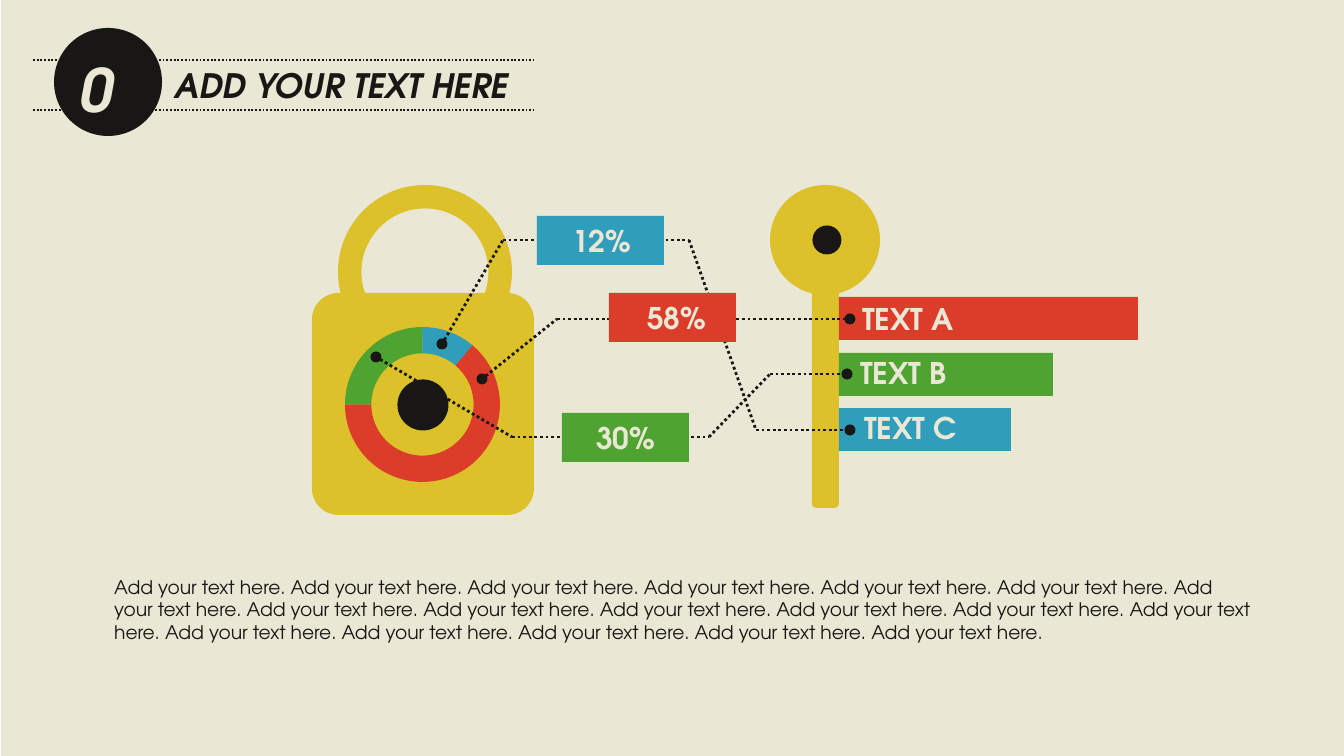
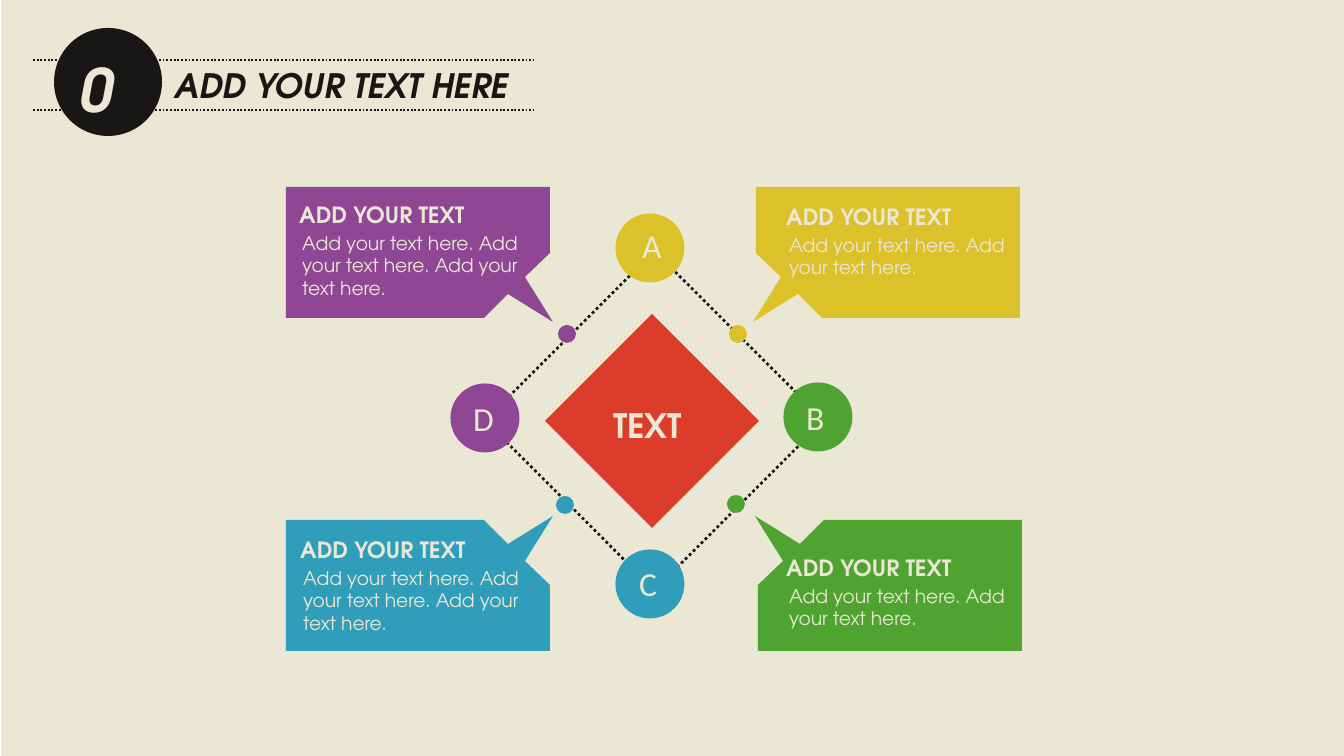
from itertools import pairwise

from lxml import etree
from pptx import Presentation
from pptx import util as u
from pptx.dml.color import RGBColor
from pptx.enum import dml, shapes, text
from pptx.oxml.ns import qn

PX = 914400 / 134.4  # EMU in one px
FONT = "TeX Gyre Adventor"
LETTER_FONT = "Calibri"

CREAM = RGBColor(0xEA, 0xE7, 0xD4)
INK = RGBColor(0x18, 0x17, 0x15)
YELLOW = RGBColor(0xDC, 0xC1, 0x2A)
RED = RGBColor(0xDC, 0x3D, 0x2A)
GREEN = RGBColor(0x4F, 0xA3, 0x31)
BLUE = RGBColor(0x30, 0x9E, 0xBA)
PURPLE = RGBColor(0x8F, 0x46, 0x95)

KIND = shapes.MSO_SHAPE
SENTENCE = "Add your text here."

# Outline of a callout, measured from the corner opposite its pointer
CALLOUT = [(0, 0), (264, 0), (264, 66), (239, 90), (267, 135),
           (222, 107), (198, 131), (0, 131)]


def px(*lengths):
    return [u.Emu(round(length * PX)) for length in lengths]


# ---- Elements ----
def paint(shape, color):
    shape.shadow.inherit = False
    shape.line.fill.background()
    if color is None:
        shape.fill.background()
    else:
        shape.fill.solid()
        shape.fill.fore_color.rgb = color


def dotted(line, width):
    line.color.rgb = INK
    line.width = u.Pt(width)
    line.dash_style = dml.MSO_LINE.ROUND_DOT


def add_block(slide, kind, box, color, adjustments=()):
    block = slide.shapes.add_shape(kind, *px(*box))
    paint(block, color)
    for index, value in enumerate(adjustments):
        block.adjustments[index] = value
    return block


def add_disc(slide, center, diameter, color):
    x, y = center
    add_block(slide, KIND.OVAL,
              (x - diameter / 2, y - diameter / 2, diameter, diameter), color)


def add_label(slide, words, box, size, color=CREAM, font=FONT, wrap=False, **styles):
    frame = slide.shapes.add_textbox(*px(*box)).text_frame
    frame.word_wrap = wrap
    frame.auto_size = text.MSO_AUTO_SIZE.SHAPE_TO_FIT_TEXT
    run = frame.paragraphs[0].add_run()
    run.text = words
    run.font.color.rgb = color
    for name, value in {"size": u.Pt(size), "name": font, **styles}.items():
        setattr(run.font, name, value)


def add_dotted_line(slide, start, end, width, ends=()):
    line = slide.shapes.add_connector(
        shapes.MSO_CONNECTOR.STRAIGHT, *px(*start, *end))
    dotted(line.line, width)
    properties = line._element.spPr
    for end_tag in ends:
        etree.SubElement(properties.find(qn("a:ln")), qn(end_tag), type="oval")
    etree.SubElement(properties, qn("a:effectLst"))


def add_leader(slide, points):
    """Dotted path with a dot at its first and last point."""
    for start, end in pairwise(points):
        ends = []
        if start == points[0]:
            ends.append("a:headEnd")
        if end == points[-1]:
            ends.append("a:tailEnd")
        add_dotted_line(slide, start, end, 1.5, ends)


def add_callout(slide, corner, x_sign, y_sign, color):
    points = [(corner[0] + x_sign * x, corner[1] + y_sign * y) for x, y in CALLOUT]
    outline = slide.shapes.build_freeform(*points[0], scale=PX)
    outline.add_line_segments(points[1:], close=True)
    paint(outline.convert_to_shape(), color)


# ---- Shared by both slides ----
def add_titled_slide(deck):
    slide = deck.slides.add_slide(deck.slide_layouts[6])
    add_block(slide, KIND.RECTANGLE, (1, 0, 1343, 757), CREAM)
    for y in (60, 110):
        add_dotted_line(slide, (33, y), (534, y), 1)
    add_disc(slide, (108, 82), 108, INK)
    add_label(slide, "ADD YOUR TEXT HERE", (161, 58, 362, 54), 18, INK,
              bold=True, italic=True)
    add_label(slide, "01", (66, 46, 93, 86), 32, bold=True, italic=True)
    return slide


# ---- Slide 1: lock and key ----
def build_lock_and_key(deck):
    slide = add_titled_slide(deck)

    # Lock body, shackle, key
    add_block(slide, KIND.ROUNDED_RECTANGLE, (312, 293, 222, 222), YELLOW, [0.12])
    add_block(slide, KIND.DONUT, (338, 185, 174, 174), YELLOW, [0.135])
    add_disc(slide, (825, 240), 110, YELLOW)
    add_block(slide, KIND.ROUNDED_RECTANGLE, (812, 254, 27, 254), YELLOW, [0.17])
    add_disc(slide, (827, 240), 29, INK)
    add_disc(slide, (423, 405), 51, INK)

    # Key teeth
    teeth = [("TEXT A", 297, 299, RED, (849, 294)),
             ("TEXT B", 353, 214, GREEN, (847, 348)),
             ("TEXT C", 408, 172, BLUE, (851, 403))]
    for _, top, width, color, _ in teeth:
        add_block(slide, KIND.RECTANGLE, (839, top, width, 43), color)

    # Ring on the lock: start and end in degrees, clockwise from the right
    for start, end, color in [(310, 180, RED), (180, 270, GREEN), (270, 310, BLUE)]:
        add_block(slide, KIND.BLOCK_ARC, (345, 327, 155, 155), color,
                  [start * 0.6, end * 0.6, 0.17])

    # Leaders from ring to teeth
    add_leader(slide, [(442, 344), (503, 240), (689, 240), (756, 430), (850, 430)])
    add_leader(slide, [(376, 357), (512, 437), (709, 437), (770, 374), (847, 374)])
    add_leader(slide, [(482, 379), (557, 319), (850, 319)])

    # Shares
    for share, left, top, color, label_left in [
            ("12%", 537, 216, BLUE, 559),
            ("58%", 609, 293, RED, 634),
            ("30%", 562, 413, GREEN, 583)]:
        add_block(slide, KIND.RECTANGLE, (left, top, 127, 49), color)
        add_label(slide, share, (label_left, top, 87, 50), 16, bold=True)
    for name, _, _, _, corner in teeth:
        add_label(slide, name, (*corner, 126, 50), 16, bold=True)

    add_label(slide, " ".join([SENTENCE] * 18), (101, 569, 1168, 103), 10, INK,
              wrap=True)


# ---- Slide 2: diamond cycle ----
def build_diamond_cycle(deck):
    slide = add_titled_slide(deck)

    track = add_block(slide, KIND.DIAMOND, (485, 251, 339, 339), None)
    dotted(track.line, 1.5)

    # Stations, with the places of their letters
    stations = [("A", (650, 248), YELLOW, (629, 218)),
                ("B", (818, 417), GREEN, (793, 390)),
                ("C", (650, 584), BLUE, (626, 556)),
                ("D", (485, 418), PURPLE, (460, 391))]
    for _, center, color, _ in stations:
        add_disc(slide, center, 69, color)

    # Callouts: colour, corner, direction, dot, heading place, sentences
    callouts = [
        (PURPLE, (286, 187), (1, 1), (567, 334), (286, 195), 3),
        (YELLOW, (1020, 187), (-1, 1), (738, 334), (773, 197), 2),
        (GREEN, (1022, 651), (-1, -1), (736, 504), (773, 548), 2),
        (BLUE, (286, 651), (1, -1), (565, 505), (287, 530), 3),
    ]
    for color, corner, direction, dot, _, _ in callouts:
        add_callout(slide, corner, *direction, color)
        add_disc(slide, dot, 18, color)

    add_block(slide, KIND.DIAMOND, (545, 314, 214, 214), RED)
    add_label(slide, "TEXT", (600, 398, 106, 54), 18, bold=True)
    for letter, _, _, place in stations:
        add_label(slide, letter, (*place, 48, 54), 18, font=LETTER_FONT)

    for _, _, _, _, (left, top), count in callouts:
        add_label(slide, "ADD YOUR TEXT", (left, top, 204, 40), 12, bold=True)
        add_label(slide, " ".join([SENTENCE] * count),
                  (left + 3, top + 30, 255, 14 + 22 * count), 10, wrap=True)


def main():
    deck = Presentation()
    deck.slide_width, deck.slide_height = px(1344, 756)
    build_lock_and_key(deck)
    build_diamond_cycle(deck)
    deck.save("out.pptx")


if __name__ == "__main__":
    main()
